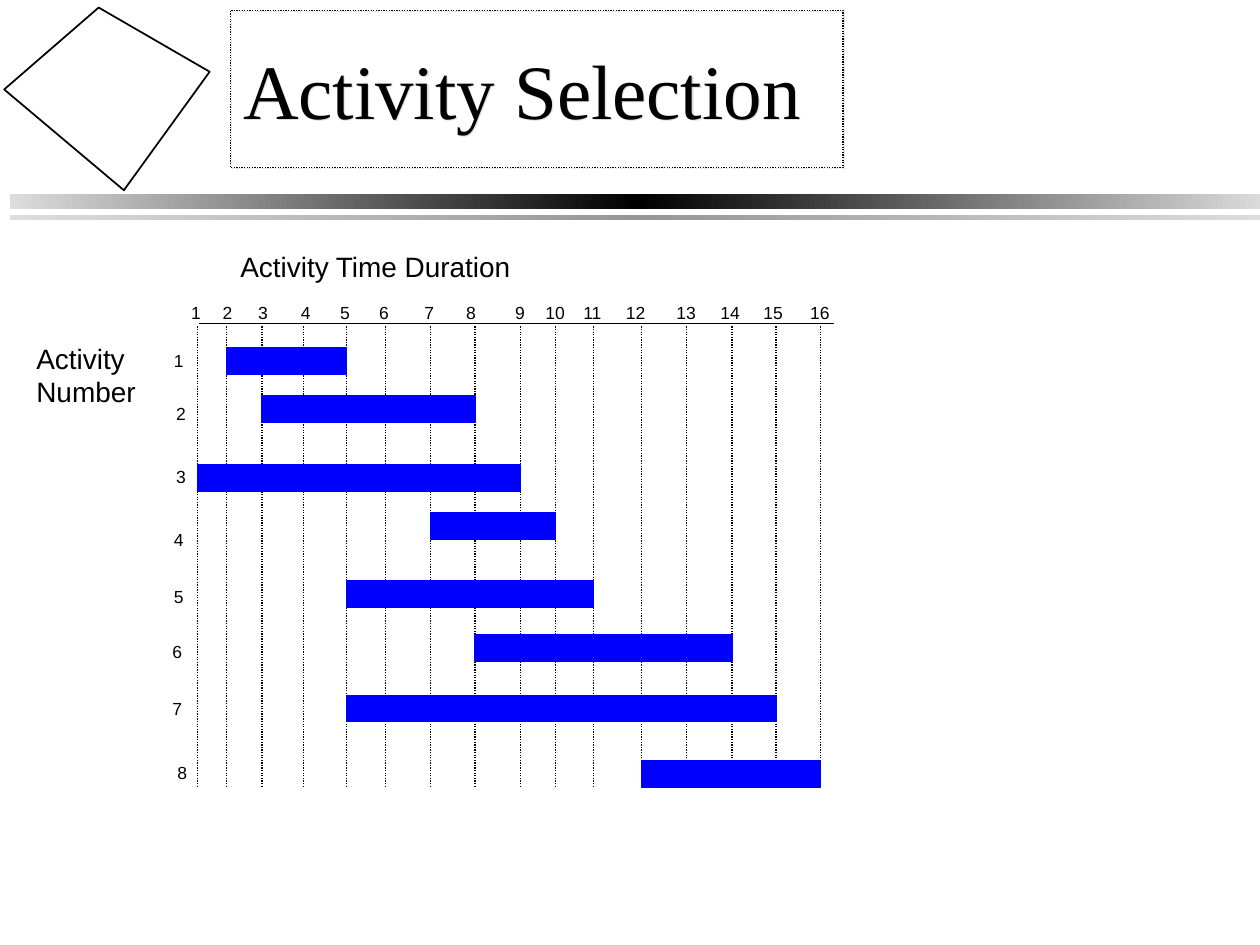
from copy import deepcopy
from dataclasses import dataclass

from lxml.etree import SubElement
from pptx import Presentation
from pptx.dml.color import RGBColor
from pptx.enum.dml import MSO_LINE
from pptx.enum.shapes import MSO_CONNECTOR, MSO_SHAPE
from pptx.enum.text import MSO_ANCHOR
from pptx.oxml.ns import qn
from pptx.util import Pt


@dataclass(frozen=True)
class Theme:
    ink: str = "000000"
    paper: str = "FFFFFF"
    bar: str = "0000FF"
    pale: str = "DDDDDD"
    gray: str = "969696"
    title_font: str = "Times New Roman"
    body_font: str = "Arial"
    title_size: float = 44
    heading_size: float = 16
    label_size: float = 10
    thin: float = 0.75
    medium: float = 1


THEME = Theme()

# Uneven hand-drawn time scale: grid line and label offsets for times 1 to 16
GRID_LEFTS = [23, 39.6, 59.8, 83.5, 108, 130.3, 156.2, 181.4,
              207.4, 227.5, 249.1, 276.5, 302.4, 328.3, 353.5, 378.7]
TIME_LEFTS = [12.2, 30.2, 50.4, 74.9, 97.2, 119.5, 145.4, 169.2,
              197.3, 214.6, 236.2, 260.6, 289.4, 314.6, 339.1, 365.8]
# Start time, finish time, bar top, label left, label top
ACTIVITIES = [
    (2, 5, 30.7, 2.2, 28.6),
    (3, 8, 58.1, 3.6, 58.8),
    (1, 9, 97.7, 3.6, 94.8),
    (7, 10, 125, 2.2, 130.8),
    (5, 11, 163.9, 2.2, 163.2),
    (8, 14, 194.9, 1.4, 194.9),
    (5, 15, 229.4, 1.4, 227.3),
    (12, 16, 266.9, 4.3, 264),
]


def color(value):
    return RGBColor.from_string(value)


def add_text(slide, text, left, top, width, height, *, size=THEME.label_size,
             font=THEME.body_font, anchor=MSO_ANCHOR.TOP):
    shape = slide.shapes.add_textbox(Pt(left), Pt(top), Pt(width), Pt(height))
    frame = shape.text_frame
    frame.word_wrap = True
    frame.vertical_anchor = anchor
    paragraph = frame.paragraphs[0]
    paragraph.text = text
    paragraph.font.size = Pt(size)
    paragraph.font.name = font
    paragraph.font.color.rgb = color(THEME.ink)
    return shape


def add_rectangle(slide, left, top, width, height):
    shape = slide.shapes.add_shape(
        MSO_SHAPE.RECTANGLE, Pt(left), Pt(top), Pt(width), Pt(height))
    shape.shadow.inherit = False
    return shape


def add_line(slide, start, end, dash=None):
    line = slide.shapes.add_connector(
        MSO_CONNECTOR.STRAIGHT, *(Pt(value) for value in (*start, *end)))
    line.line.color.rgb = color(THEME.ink)
    line.line.width = Pt(THEME.thin)
    line.line.dash_style = dash
    SubElement(line._element.spPr, qn("a:effectLst"))


def add_gradient_rule(slide, left, top, width, height, middle):
    shape = add_rectangle(slide, left, top, width, height)
    shape.line.fill.background()
    shape.fill.gradient()
    shape.fill.gradient_angle = 0
    stop_list = shape._element.spPr.find(".//" + qn("a:gsLst"))
    stop_list.insert(1, deepcopy(stop_list[0]))
    stops = shape.fill.gradient_stops
    for stop, position, value in zip(stops, (0, 0.5, 1), (THEME.pale, middle, THEME.pale)):
        stop.position = position
        stop.color.rgb = color(value)


def add_decoration(slide, left, top, width):
    # Double rule below the title
    add_gradient_rule(slide, left + 4.5, top + 110.9, width, 8.6, THEME.ink)
    add_gradient_rule(slide, left + 4.5, top + 123.1, width, 2.9, THEME.gray)
    # Tilted square
    corners = [(69.8, 108.7), (1.4, 51.1), (55.4, 4.3), (118.8, 41)]
    points = [(Pt(left + x), Pt(top + y)) for x, y in corners]
    builder = slide.shapes.build_freeform(*points[0])
    builder.add_line_segments(points[1:], close=True)
    square = builder.convert_to_shape()
    square.shadow.inherit = False
    square.fill.solid()
    square.fill.fore_color.rgb = color(THEME.paper)
    square.line.color.rgb = color(THEME.ink)
    square.line.width = Pt(THEME.medium)


def add_title(slide, left, top, width, height):
    title = add_text(slide, "Activity Selection", left, top, width, height,
                     size=THEME.title_size, font=THEME.title_font,
                     anchor=MSO_ANCHOR.MIDDLE)
    title.line.color.rgb = color(THEME.ink)
    title.line.width = Pt(THEME.thin)
    title.line.dash_style = MSO_LINE.ROUND_DOT
    # Soft gray shadow to the lower right
    effects = SubElement(title._element.spPr, qn("a:effectLst"))
    shadow = SubElement(effects, qn("a:outerShdw"), dist=str(Pt(1)), dir="2700000")
    SubElement(shadow, qn("a:srgbClr"), val=THEME.pale)


def add_schedule(slide, left, top):
    grid_top, grid_bottom = top + 18.5, top + 281.8
    # Time axis, grid lines and time labels
    add_line(slide, (left + 23.8, top + 17), (left + 386.6, top + 17))
    for time, (grid_left, label_left) in enumerate(zip(GRID_LEFTS, TIME_LEFTS), start=1):
        add_line(slide, (left + grid_left, grid_top), (left + grid_left, grid_bottom),
                 dash=MSO_LINE.ROUND_DOT)
        add_text(slide, str(time), left + label_left, top + 1.2, 26, 19.4)
    # Activity labels and bars
    for number, activity in enumerate(ACTIVITIES, start=1):
        start, finish, bar_top, label_left, label_top = activity
        add_text(slide, str(number), left + label_left, top + label_top, 26, 19.4)
        bar_left, bar_right = GRID_LEFTS[start - 1], GRID_LEFTS[finish - 1]
        bar = add_rectangle(slide, left + bar_left, top + bar_top, bar_right - bar_left, 15.1)
        bar.fill.solid()
        bar.fill.fore_color.rgb = color(THEME.bar)
        bar.line.color.rgb = color(THEME.bar)
        bar.line.width = Pt(THEME.thin)
    # Axis headings
    add_text(slide, "Activity Time Duration", left + 40.3, top - 29, 326.9, 26.6,
             size=THEME.heading_size)
    add_text(slide, "Activity Number", left - 76.3, top + 23.5, 78.5, 46.1,
             size=THEME.heading_size)


def main():
    presentation = Presentation()
    presentation.slide_width, presentation.slide_height = Pt(720), Pt(540)
    slide = presentation.slides.add_slide(presentation.slide_layouts[6])
    add_decoration(slide, left=1, top=0, width=719)
    add_title(slide, left=131.8, top=5.8, width=349.9, height=90)
    add_schedule(slide, left=90, top=168)
    presentation.save("out.pptx")


if __name__ == "__main__":
    main()
